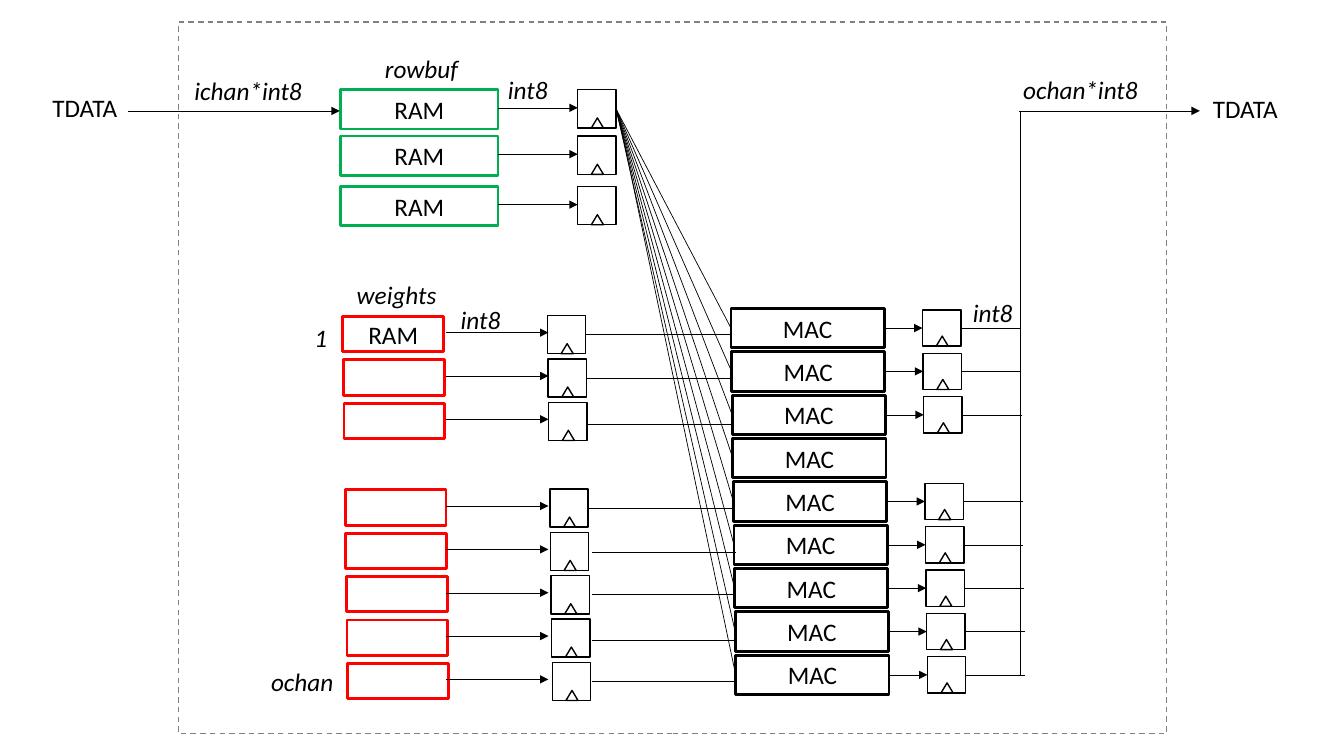
from lxml import etree
from pptx import Presentation
from pptx.dml.color import RGBColor
from pptx.enum.dml import MSO_LINE
from pptx.enum.shapes import MSO_CONNECTOR, MSO_SHAPE
from pptx.enum.text import MSO_ANCHOR, MSO_AUTO_SIZE, PP_ALIGN
from pptx.oxml.ns import qn
from pptx.util import Inches, Pt

RECT, TRIANGLE = MSO_SHAPE.RECTANGLE, MSO_SHAPE.ISOSCELES_TRIANGLE
STRAIGHT = MSO_CONNECTOR.STRAIGHT
DASH = MSO_LINE.DASH
MIDDLE, CENTER = MSO_ANCHOR.MIDDLE, PP_ALIGN.CENTER
GROW = MSO_AUTO_SIZE.SHAPE_TO_FIT_TEXT
LEFT_SIDE, RIGHT_SIDE = 1, 3

BLACK, GREEN, RED, GRAY = "000000", "00B050", "FF0000", "808080"
PITCH = 0.43    # height of one weight / MAC row
DRIFT = 0.006   # rightward shift from one row to the next
MAC_ROWS = 9
UNREGISTERED_ROW = 3
# Start of the line from each weight register to its MAC, by row
WEIGHT_LINES = {0: (5.81, 3.32), 1: (5.82, 3.75), 2: (5.82, 4.21),
                4: (5.83, 5.04), 5: (5.87, 5.48), 6: (5.87, 5.89),
                7: (5.87, 6.35), 8: (5.87, 6.76)}


def color(target, value):
    target.rgb = RGBColor.from_string(value)


def write(tf, text, italic=False):
    tf.text = text
    tf.word_wrap = False
    font = tf.paragraphs[0].runs[0].font
    font.name, font.size, font.italic = "Calibri", Pt(18), italic
    color(font.color, BLACK)


def outline(shapes, kind, x, y, w, h, line=BLACK, width=1):
    sp = shapes.add_shape(kind, Inches(x), Inches(y), Inches(w), Inches(h))
    sp.shadow.inherit = False
    sp.fill.background()
    color(sp.line.color, line)
    sp.line.width = Pt(width)
    return sp


def block(s, x, y, w, h, line, text=""):
    sp = outline(s.shapes, RECT, x, y, w, h, line, 2)
    if text:
        write(sp.text_frame, text)
        sp.text_frame.vertical_anchor = MIDDLE
        sp.text_frame.paragraphs[0].alignment = CENTER
    return sp


def register(s, x, y, h=0.38):
    """Draw a clocked register and return its rectangle."""
    group = s.shapes.add_group_shape()
    body = outline(group.shapes, RECT, x, y, 0.38, h)
    outline(group.shapes, TRIANGLE, x + 0.135, y + h - 0.1, 0.12, 0.1)
    return body


def label(s, x, y, w, text, italic=True):
    tb = s.shapes.add_textbox(Inches(x), Inches(y), Inches(w), Inches(0.4))
    write(tb.text_frame, text, italic)
    tb.text_frame.auto_size = GROW


def wire(s, x1, y1, x2, y2, width=0.25, arrow=False):
    c = s.shapes.add_connector(STRAIGHT, Inches(x1), Inches(y1),
                               Inches(x2), Inches(y2))
    color(c.line.color, BLACK)
    c.line.width = Pt(width)
    if arrow:
        etree.SubElement(c.line._get_or_add_ln(), qn("a:tailEnd"), type="triangle")
    etree.SubElement(c._element.spPr, qn("a:effectLst"))
    return c


def join(s, start, end, width=0.25, arrow=False):
    """Wire the right side of one rectangle to the left side of another."""
    c = wire(s, 0, 0, 1, 1, width, arrow)
    c.begin_connect(start, RIGHT_SIDE)
    c.end_connect(end, LEFT_SIDE)


def row_buffer(s, x, y):
    """Draw the row RAMs and return the first register."""
    registers = []
    for dy in (0, 0.46, 0.96):
        block(s, x, y + dy, 1.56, 0.39, GREEN, "RAM")
        registers.append(register(s, x + 2.35, y + dy))
        wire(s, x + 1.56, y + dy + 0.18, x + 2.35, y + dy + 0.18, arrow=True)
    label(s, x + 0.34, y - 0.41, 0.93, "rowbuf")
    label(s, x + 1.56, y - 0.2, 0.6, "int8")
    return registers[0]


def weight_bank(s, x, y):
    for row, (line_x, line_y) in WEIGHT_LINES.items():
        dx, top = row * DRIFT, y + row * PITCH
        block(s, x + dx, top, 1, 0.35, RED, "" if row else "RAM")
        register(s, x + 2.03 + dx, top - 0.01)
        wire(s, x + 1.02, top + 0.16, x + 2.04, top + 0.16, arrow=True)
        wire(s, line_x, line_y, line_x + 1.43, line_y)
    label(s, x + 0.04, y - 0.42, 1, "weights")
    label(s, x + 1.07, y - 0.17, 0.6, "int8")
    label(s, x - 0.38, y + 0.01, 0.33, "1")
    label(s, x - 0.81, y + 3.42, 0.83, "ochan")


def mac_array(s, x, y, source):
    """Draw the MACs, fed by the source register, and their outputs."""
    for row in range(MAC_ROWS):
        dx, top = row * DRIFT, y + row * PITCH
        mac = block(s, x + dx, top, 1.52, 0.39, BLACK, "MAC")
        if row < MAC_ROWS - 1:
            join(s, source, mac, 0.5)
        else:
            wire(s, 6.15, 1.22, x + dx, top + 0.2, 0.5)
        if row != UNREGISTERED_ROW:
            out = register(s, x + 1.9 + dx, top + 0.015, 0.36)
            join(s, mac, out, arrow=True)
            wire(s, x + 2.28 + dx, top + 0.195, x + 2.87 + dx, top + 0.195)
    label(s, x + 2.3, y - 0.16, 0.6, "int8")


def stream_ports(s, y):
    """Draw the input stream, and the output stream with its bus."""
    label(s, 0.42, y - 0.23, 0.85, "TDATA", italic=False)
    label(s, 1.83, y - 0.4, 1.28, "ichan*int8")
    wire(s, 1.27, y, 3.37, y, arrow=True)
    wire(s, 10.12, 6.7, 10.12, y, 0.5)
    wire(s, 10.11, y, 11.9, y, 0.5, arrow=True)
    label(s, 10.05, y - 0.41, 1.35, "ochan*int8")
    label(s, 11.93, y - 0.22, 0.85, "TDATA", italic=False)


def main():
    prs = Presentation()
    prs.slide_width, prs.slide_height = Inches(13.33), Inches(7.5)
    s = prs.slides.add_slide(prs.slide_layouts[6])
    boundary = outline(s.shapes, RECT, 1.77, 0.22, 9.8, 7.06, GRAY)
    boundary.line.dash_style = DASH
    source = row_buffer(s, 3.38, 0.89)
    weight_bank(s, 3.4, 3.14)
    mac_array(s, 7.25, 3.06, source)
    stream_ports(s, 1.1)
    prs.save("out.pptx")


if __name__ == "__main__":
    main()
